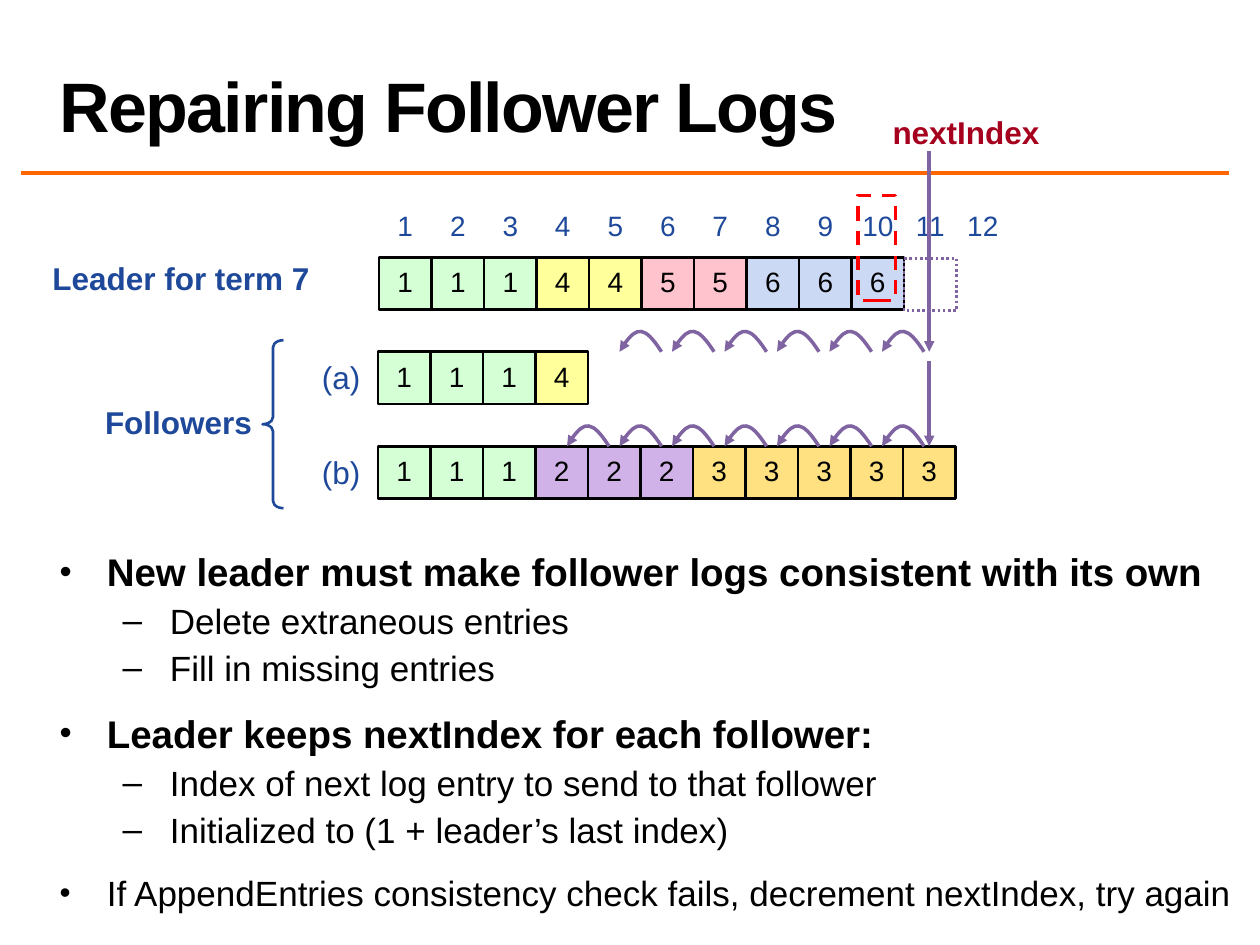
from lxml import etree
from pptx import Presentation, util as u
from pptx.dml.color import RGBColor
from pptx.enum import dml, shapes, text
from pptx.oxml.ns import qn

SCALE = 7620
CELL = 50
BLACK, NAVY, PURPLE, RED = "000000", "1E4899", "8064A2", "A5001E"
TERM_COLOURS = {1: "D5FFD5", 2: "D1B2E8", 3: "FFE181", 4: "FFFF9B", 5: "FFC3CE", 6: "CCD9F4"}
LOGS = [
    (361, 245, [1, 1, 1, 4, 4, 5, 5, 6, 6, 6]),
    (360, 335, [1, 1, 1, 4]),
    (360, 425, [1, 1, 1, 2, 2, 2, 3, 3, 3, 3, 3]),
]
BULLETS = [
    (0, 22, True, "New leader must make follower logs consistent with its own"),
    (1, 20, False, "Delete extraneous entries"),
    (1, 20, False, "Fill in missing entries"),
    (0, 22, True, "Leader keeps nextIndex for each follower:"),
    (1, 20, False, "Index of next log entry to send to that follower"),
    (1, 20, False, "Initialized to (1 + leader’s last index)"),
    (0, 20, False, "If AppendEntries consistency check fails, decrement nextIndex, try again"),
]


def px(value):
    return u.Emu(value * SCALE)


def colour(value):
    return RGBColor.from_string(value)


def child(parent, tag, **attributes):
    return etree.SubElement(parent, qn(tag), attributes)


class SlideWriter:
    font = "Arial"
    align = text.PP_ALIGN

    def __init__(self, deck):
        self.page = deck.slides.add_slide(deck.slide_layouts[5])

    def style(self, para, size, tone, bold=False, align=None, spacing=None):
        para.alignment = align
        para.line_spacing = spacing
        para.font.name = self.font
        para.font.size = u.Pt(size)
        para.font.bold = bold
        para.font.color.rgb = colour(tone)

    def stroke(self, shape, tone, width, dash=None):
        shape.line.color.rgb = colour(tone)
        shape.line.width = u.Pt(width)
        if dash:
            shape.line.dash_style = dash

    def arrowhead(self, shape):
        child(shape.line._get_or_add_ln(), "a:tailEnd", type="triangle")

    def no_inset(self, frame):
        frame.margin_left = frame.margin_right = frame.margin_top = frame.margin_bottom = 0

    def title(self, words, x, y, w, h):
        box = self.page.shapes.title
        box.left, box.top, box.width, box.height = map(px, (x, y, w, h))
        frame = box.text_frame
        frame.text = words
        frame.auto_size = text.MSO_AUTO_SIZE.NONE
        frame.vertical_anchor = text.MSO_ANCHOR.BOTTOM
        para = frame.paragraphs[0]
        self.style(para, 40, BLACK, True, self.align.LEFT, 0.8)
        para.runs[0]._r.get_or_add_rPr().set("spc", "-100")

    def label(self, words, x, y, w, h, size=18, tone=NAVY, bold=False,
              align=None, spacing=None, inset=False, wrap=True):
        box = self.page.shapes.add_textbox(*map(px, (x, y, w, h)))
        frame = box.text_frame
        frame.word_wrap = wrap
        if not inset:
            self.no_inset(frame)
        frame.text = words
        self.style(frame.paragraphs[0], size, tone, bold, align, spacing)

    def shape(self, kind, x, y, w, h, tone, width, fill=None, dash=None):
        box = self.page.shapes.add_shape(kind, *map(px, (x, y, w, h)))
        box.shadow.inherit = False
        if fill:
            box.fill.solid()
            box.fill.fore_color.rgb = colour(fill)
        else:
            box.fill.background()
        self.stroke(box, tone, width, dash)
        return box

    def entry(self, term, x, y):
        box = self.shape(shapes.MSO_SHAPE.RECTANGLE, x, y, CELL, CELL, BLACK, 1.5,
                         TERM_COLOURS[term])
        frame = box.text_frame
        self.no_inset(frame)
        frame.vertical_anchor = text.MSO_ANCHOR.MIDDLE
        frame.text = str(term)
        self.style(frame.paragraphs[0], 16, BLACK, False, self.align.CENTER, u.Pt(17))

    def line(self, x1, y1, x2, y2, tone, arrow=False):
        line = self.page.shapes.add_connector(
            shapes.MSO_CONNECTOR.STRAIGHT, *map(px, (x1, y1, x2, y2)))
        self.stroke(line, tone, 2)
        if arrow:
            self.arrowhead(line)
        child(line._element.spPr, "a:effectLst")

    def hop(self, x, y):
        builder = self.page.shapes.build_freeform(x + 40, y, SCALE)
        builder.add_line_segments([(x + 20, y - 18), (x, y)], close=False)
        arc = builder.convert_to_shape()
        arc.shadow.inherit = False
        arc.fill.background()
        self.stroke(arc, PURPLE, 2)
        self.arrowhead(arc)
        outline = next(arc._element.iter(qn("a:path")))
        for segment in outline.findall(qn("a:lnTo")):
            outline.remove(segment)
        curve = child(outline, "a:cubicBezTo")
        for cx, cy in ((24, -7), (14, -6), (0, 18)):
            child(curve, "a:pt", x=str(cx), y=str(cy))

    def bullets(self, items, x, y, w, h):
        frame = self.page.shapes.add_textbox(*map(px, (x, y, w, h))).text_frame
        frame.word_wrap = True
        for index, (level, size, bold, words) in enumerate(items):
            para = frame.add_paragraph() if index else frame.paragraphs[0]
            para.text = words
            para.level = level
            if index:
                para.space_before = u.Pt(3 if level else 12)
            props = para._p.get_or_add_pPr()
            props.set("marL", str(px(105 if level else 45)))
            props.set("indent", str(px(-45)))
            child(child(props, "a:buClr"), "a:srgbClr", val=BLACK)
            if not level:
                child(props, "a:buSzPct", val="90000")
            child(props, "a:buFont", typeface=self.font)
            child(props, "a:buChar", char="–" if level else "•")
            self.style(para, size, BLACK, bold)


def main():
    deck = Presentation()
    deck.slide_width, deck.slide_height = px(1200), px(900)
    writer = SlideWriter(deck)
    align = writer.align
    rectangle = shapes.MSO_SHAPE.RECTANGLE

    writer.line(20, 165, 1170, 165, "FF6600")
    writer.title("Repairing Follower Logs", 45, 2, 1125, 143)

    for left, top, terms in LOGS:
        for column, term in enumerate(terms):
            writer.entry(term, left + column * CELL, top)
    for number in range(1, 13):
        extra = 10 if number > 9 else 0
        writer.label(str(number), 361 + (number - 1) * CELL - extra, 193, CELL + 2 * extra, 44,
                     16, align=align.CENTER, inset=True)

    writer.label("Leader for term 7", -10, 251, 305, 32, bold=True,
                 align=align.RIGHT, spacing=u.Pt(19))
    writer.label("Followers", 100, 388, 141, 32, bold=True, spacing=u.Pt(19), wrap=False)
    writer.label("(a)", 300, 341, 50, 36, align=align.CENTER)
    writer.label("(b)", 300, 431, 50, 36, align=align.CENTER)
    brace = writer.shape(shapes.MSO_SHAPE.LEFT_BRACE, 250, 324, 20, 160, NAVY, 1.5)
    brace.adjustments[0] = 0.34

    for top, hops in ((425, 7), (335, 6)):
        for step in range(hops):
            writer.hop(840 - step * CELL, top)
    writer.line(885, 144, 885, 335, PURPLE, arrow=True)
    writer.line(885, 344, 885, 425, PURPLE, arrow=True)
    writer.label("nextIndex", 850, 112, 141, 32, tone=RED, bold=True,
                 spacing=u.Pt(19), wrap=False)
    writer.shape(rectangle, 861, 246, CELL, CELL, PURPLE, 1.5, dash=dml.MSO_LINE.ROUND_DOT)
    writer.shape(rectangle, 817, 186, 36, 100, "FF0000", 2, dash=dml.MSO_LINE.DASH)

    writer.bullets(BULLETS, 45, 516, 1155, 380)
    deck.save("out.pptx")


if __name__ == "__main__":
    main()
